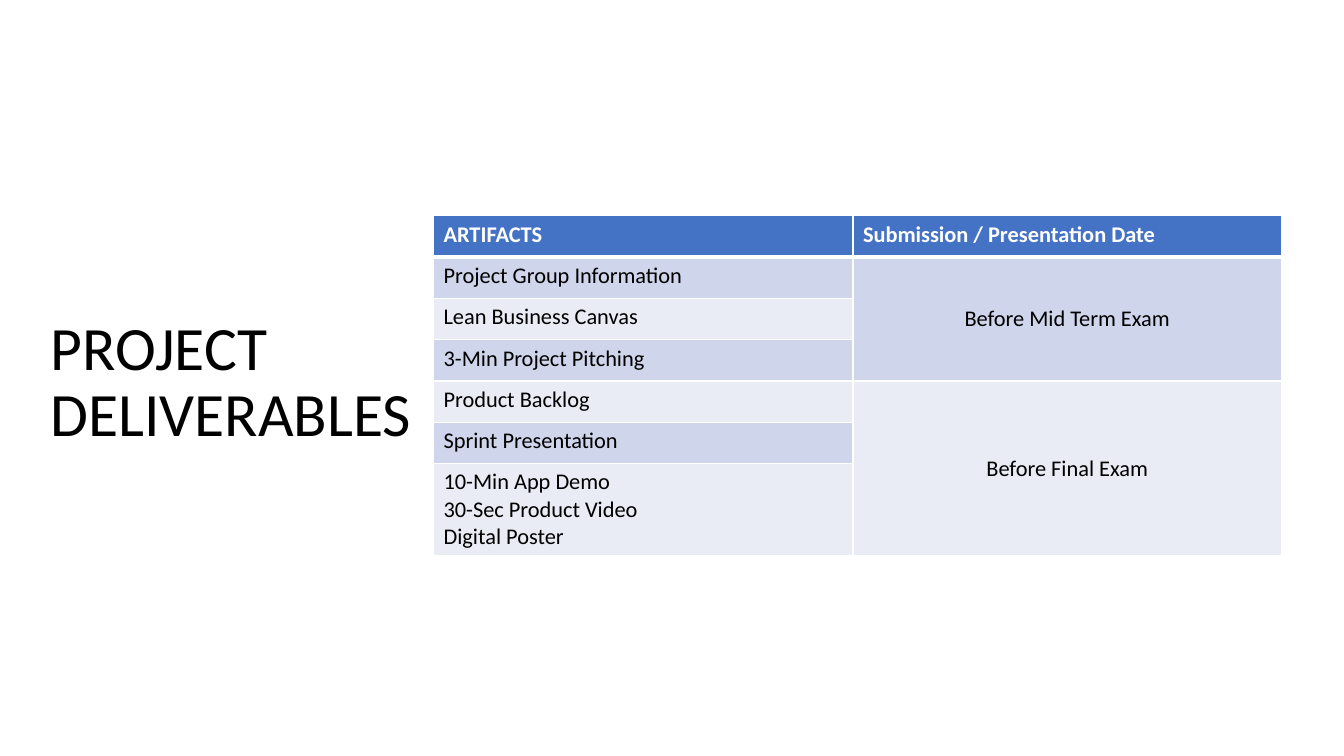
"""Build the project deliverables slide: a title beside a schedule table."""
from lxml import etree
from pptx import Presentation
from pptx import util as u
from pptx.dml.color import RGBColor
from pptx.enum import text
from pptx.oxml.ns import qn

BLACK = RGBColor(0x00, 0x00, 0x00)
WHITE = RGBColor(0xFF, 0xFF, 0xFF)
HEADER_BLUE = RGBColor(0x44, 0x72, 0xC4)
BANDS = [RGBColor(0xCF, 0xD5, 0xEA), RGBColor(0xE9, 0xEB, 0xF5)]

HEADINGS = ["ARTIFACTS", "Submission / Presentation Date"]
DELIVERABLES = [
    ("Before Mid Term Exam", [
        "Project Group Information",
        "Lean Business Canvas",
        "3-Min Project Pitching",
    ]),
    ("Before Final Exam", [
        "Product Backlog",
        "Sprint Presentation",
        "10-Min App Demo\n30-Sec Product Video\nDigital Poster",
    ]),
]
COLUMN_WIDTHS = [4.16, 4.25]
ROW_HEIGHTS = [0.41] * 6 + [0.91]


def set_attributes(target, values):
    """Set each named attribute of the target."""
    for name, value in values.items():
        setattr(target, name, value)


def format_text(frame, size, color, bold=False, alignment=text.PP_ALIGN.LEFT):
    """Format every paragraph of a text frame."""
    for paragraph in frame.paragraphs:
        paragraph.alignment = alignment
        set_attributes(paragraph.font, {"name": "Calibri", "size": u.Pt(size), "bold": bold})
        paragraph.font.color.rgb = color


def add_title(slide, wording):
    """Place the title at the left of the slide."""
    title = slide.shapes.title
    set_attributes(title, {
        "left": u.Inches(0.4), "top": u.Inches(3.08),
        "width": u.Inches(4.08), "height": u.Inches(1.45),
    })
    frame = title.text_frame
    frame.text = wording
    set_attributes(frame, {
        "word_wrap": True,
        "auto_size": text.MSO_AUTO_SIZE.NONE,
        "vertical_anchor": text.MSO_ANCHOR.MIDDLE,
    })
    format_text(frame, 44, BLACK)
    frame.paragraphs[0].line_spacing = 0.9


def add_borders(cell, bottom):
    """Draw white borders around a cell."""
    properties = cell._tc.get_or_add_tcPr()
    for side, width in {"L": 1, "R": 1, "T": 1, "B": bottom}.items():
        line = etree.SubElement(properties, qn(f"a:ln{side}"), w=str(u.Pt(width)))
        fill = etree.SubElement(line, qn("a:solidFill"))
        etree.SubElement(fill, qn("a:srgbClr"), val=str(WHITE))


def fill_cell(cell, wording, fill, color=BLACK, bold=False, centred=False, bottom=1):
    """Write and format one table cell."""
    cell.text = wording
    alignment = text.PP_ALIGN.CENTER if centred else text.PP_ALIGN.LEFT
    format_text(cell.text_frame, 16, color, bold, alignment)
    cell.vertical_anchor = text.MSO_ANCHOR.MIDDLE if centred else text.MSO_ANCHOR.TOP
    add_borders(cell, bottom)
    cell.fill.solid()
    cell.fill.fore_color.rgb = fill


def add_schedule(slide):
    """Add the table of artifacts grouped by date."""
    frame = slide.shapes.add_table(
        len(ROW_HEIGHTS), len(COLUMN_WIDTHS), u.Inches(4.3), u.Inches(2.14),
        u.Inches(sum(COLUMN_WIDTHS)), u.Inches(sum(ROW_HEIGHTS)))
    table = frame.table
    for column, width in zip(table.columns, COLUMN_WIDTHS):
        column.width = u.Inches(width)
    for row, height in zip(table.rows, ROW_HEIGHTS):
        row.height = u.Inches(height)
    for index, heading in enumerate(HEADINGS):
        fill_cell(table.cell(0, index), heading, HEADER_BLUE, WHITE, bold=True, bottom=3)
    first = 1
    for date, artifacts in DELIVERABLES:
        last = first + len(artifacts) - 1
        table.cell(first, 1).merge(table.cell(last, 1))
        fill_cell(table.cell(first, 1), date, BANDS[(first - 1) % 2], centred=True)
        for row, artifact in enumerate(artifacts, first):
            fill_cell(table.cell(row, 0), artifact, BANDS[(row - 1) % 2])
        first = last + 1


def main():
    """Create and save the presentation."""
    presentation = Presentation()
    set_attributes(presentation, {
        "slide_width": u.Inches(13.33), "slide_height": u.Inches(7.5),
    })
    slide = presentation.slides.add_slide(presentation.slide_layouts[5])
    add_title(slide, "PROJECT DELIVERABLES")
    add_schedule(slide)
    presentation.save("out.pptx")


if __name__ == "__main__":
    main()
